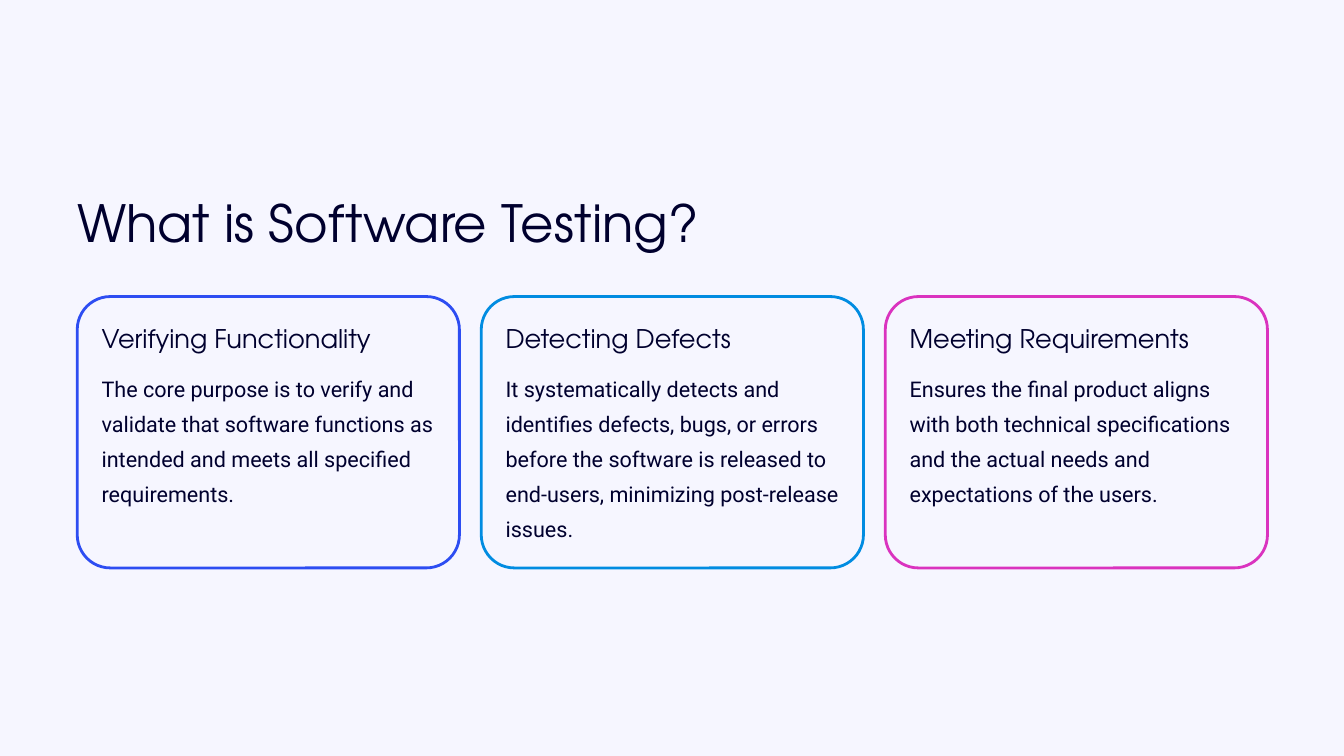
"""Build the slide that explains what software testing is in three outlined cards."""
from dataclasses import dataclass

from pptx import Presentation
from pptx.dml.color import RGBColor
from pptx.enum import shapes, text
from pptx.slide import Slide
from pptx.util import Pt

LAVENDER = RGBColor(0xF6, 0xF6, 0xFF)
NAVY = RGBColor(0x00, 0x00, 0x2E)
BLUE = RGBColor(0x2D, 0x4D, 0xF2)
AZURE = RGBColor(0x01, 0x8C, 0xE1)
MAGENTA = RGBColor(0xDA, 0x33, 0xBF)

MARGIN = 66.2
CARD_TOP, CARD_WIDTH, CARD_HEIGHT = 254.2, 327.6, 232.6
CARD_PITCH = 346.3
PADDING = 20.9


@dataclass(frozen=True)
class TextStyle:
    font: str
    size: float
    line_spacing: float
    wrap: bool


@dataclass(frozen=True)
class Card:
    heading: str
    body: str
    outline: RGBColor


TITLE = TextStyle("TeX Gyre Adventor", 44, 55, False)
HEADING = TextStyle("TeX Gyre Adventor", 22, 27.5, False)
BODY = TextStyle("Roboto", 18.5, 30, True)

CARDS = [
    Card(
        "Verifying Functionality",
        "The core purpose is to verify and validate that software functions "
        "as intended and meets all specified requirements.",
        BLUE,
    ),
    Card(
        "Detecting Defects",
        "It systematically detects and identifies defects, bugs, or errors before "
        "the software is released to end-users, minimizing post-release issues.",
        AZURE,
    ),
    Card(
        "Meeting Requirements",
        "Ensures the final product aligns with both technical specifications "
        "and the actual needs and expectations of the users.",
        MAGENTA,
    ),
]


def add_text(slide: Slide, wording: str, style: TextStyle,
             left: float, top: float, width: float, height: float) -> None:
    box = slide.shapes.add_textbox(Pt(left), Pt(top), Pt(width), Pt(height))
    frame = box.text_frame
    frame.margin_left = frame.margin_right = Pt(0)
    frame.margin_top = frame.margin_bottom = Pt(0)
    frame.word_wrap = style.wrap
    frame.vertical_anchor = text.MSO_ANCHOR.TOP
    paragraph = frame.paragraphs[0]
    paragraph.alignment = text.PP_ALIGN.LEFT
    paragraph.line_spacing = Pt(style.line_spacing)
    run = paragraph.add_run()
    run.text = wording
    run.font.name = style.font
    run.font.size = Pt(style.size)
    run.font.color.rgb = NAVY


def add_card(slide: Slide, card: Card, left: float) -> None:
    frame = slide.shapes.add_shape(
        shapes.MSO_SHAPE.ROUNDED_RECTANGLE,
        Pt(left), Pt(CARD_TOP), Pt(CARD_WIDTH), Pt(CARD_HEIGHT),
    )
    frame.adjustments[0] = 0.122
    frame.shadow.inherit = False
    frame.fill.background()
    frame.line.color.rgb = card.outline
    frame.line.width = Pt(2.4)
    inner_left = left + PADDING
    inner_width = CARD_WIDTH - 2 * PADDING
    add_text(slide, card.heading, HEADING, inner_left, 275.8, inner_width, 27.5)
    add_text(slide, card.body, BODY, inner_left, 314.6, inner_width, 150)


def main() -> None:
    deck = Presentation()
    deck.slide_width, deck.slide_height = Pt(1152), Pt(648)
    slide = deck.slides.add_slide(deck.slide_layouts[6])
    slide.background.fill.solid()
    slide.background.fill.fore_color.rgb = LAVENDER
    add_text(slide, "What is Software Testing?", TITLE, MARGIN, 161.3, 535, 55)
    for column, card in enumerate(CARDS):
        add_card(slide, card, MARGIN + column * CARD_PITCH)
    deck.save("out.pptx")


if __name__ == "__main__":
    main()
